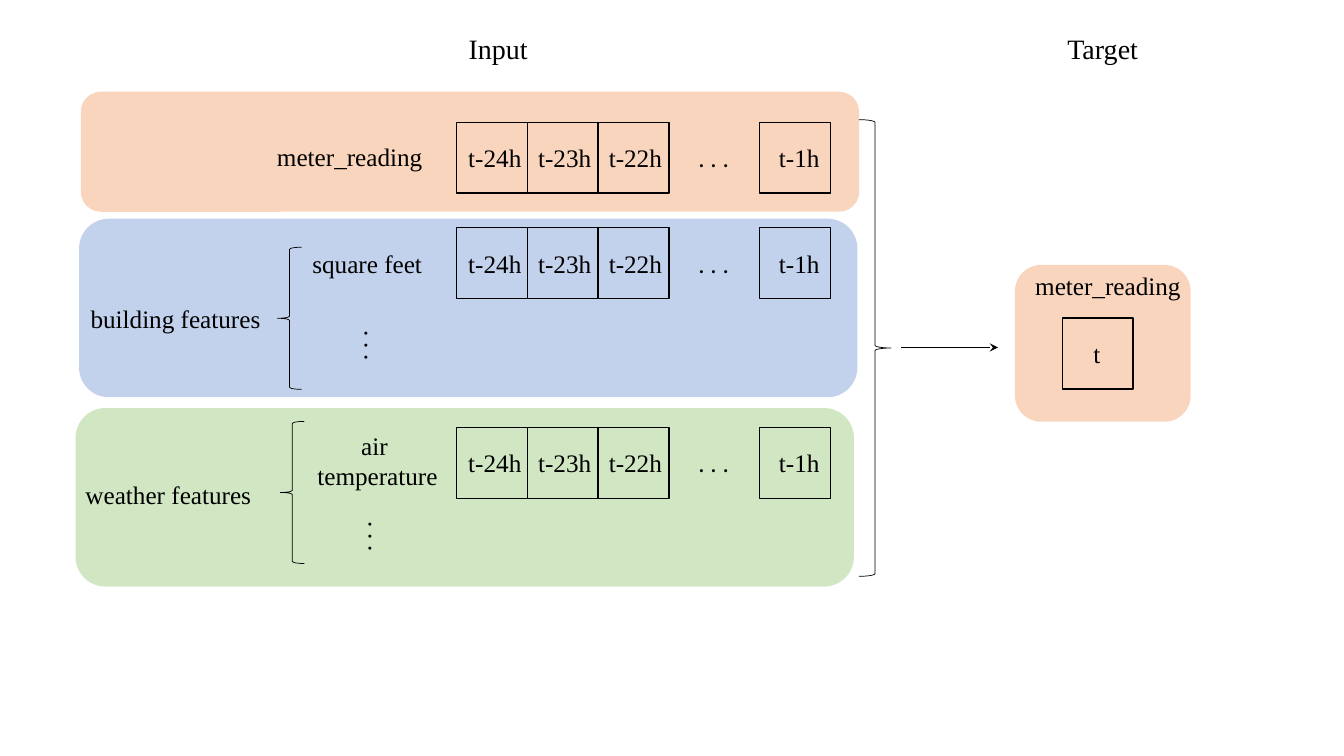
from pptx import Presentation
from pptx.dml.color import RGBColor
from pptx.enum.shapes import MSO_CONNECTOR as LINE, MSO_SHAPE as KIND
from pptx.enum.text import MSO_AUTO_SIZE as FIT, PP_ALIGN as ALIGN
from pptx.oxml.ns import qn
from pptx.util import Pt
from lxml.etree import SubElement

INK = "000000"
SERIF = "Times New Roman"
PEACH, BLUE, GREEN = "F4B183", "8FAADC", "A9D18E"

deck = Presentation()
deck.slide_width, deck.slide_height = Pt(960), Pt(540)
slide = deck.slides.add_slide(deck.slide_layouts[6])
shapes = slide.shapes


def draw(kind, box, fill=None, line=None):
    """Add a shape with a see-through fill or a black outline."""
    shape = shapes.add_shape(kind, *map(Pt, box))
    shape.shadow.inherit = False
    if fill:
        shape.fill.solid()
        shape.fill.fore_color.rgb = RGBColor.from_string(fill)
        tint = shape.fill._xPr.find(qn("a:solidFill"))[0]
        SubElement(tint, qn("a:alpha")).set("val", "53000")
    else:
        shape.fill.background()
    if line:
        shape.line.width = Pt(line)
        shape.line.color.rgb = RGBColor.from_string(INK)
    else:
        shape.line.fill.background()


def write(text, box, size=18, font=SERIF, align=ALIGN.LEFT, turn=0, wrap=False):
    """Add a text box in one font."""
    label = shapes.add_textbox(*map(Pt, box))
    label.rotation = turn
    frame = label.text_frame
    frame.text = text
    frame.word_wrap = wrap
    frame.auto_size = FIT.SHAPE_TO_FIT_TEXT
    for para in frame.paragraphs:
        para.alignment = align
        for run in para.runs:
            run.font.size = Pt(size)
            run.font.name = font
            run.font.color.rgb = RGBColor.from_string(INK)


# Panels
for box, fill in [
    ((54, 291.5, 556, 127.5), GREEN),
    ((56.5, 156.25, 556, 127.5), BLUE),
    ((725, 189.25, 125.5, 112), PEACH),
    ((57.75, 65.5, 556, 85.75), PEACH),
]:
    draw(KIND.ROUNDED_RECTANGLE, box, fill)

# Time steps: the same row of cells in each input panel
side = 50.6
left = 326.1
steps = [
    ("t-24h", left, 1.3, 52.6),
    ("t-23h", left + side, 0.6, 52.6),
    ("t-22h", left + 2 * side, 0.5, 52.6),
    ("t-1h", 542.5, 6.8, 43.9),
]
for top in (87.3, 162.7, 305.3):
    for step, x, pad, width in steps:
        draw(KIND.RECTANGLE, (x, top, side, side), line=1)
        write(step, (x + pad, top + 10.8, width, 29))
    write(". . .", (491.8, top + 10.8, 36.7, 29), font="Calibri")

# Feature names
write("meter_reading", (190.8, 97.3, 124.6, 29))
write("square feet", (216, 173.5, 93.6, 29))
write("air \ntemperature", (218.9, 303.8, 101.5, 51), align=ALIGN.CENTER)
write("building features", (57.6, 213.1, 144, 29), wrap=True)
write("weather features", (54, 339.1, 144, 29), wrap=True)
for x, y in ((249.1, 232.6), (252, 369.4)):
    write(". . .", (x, y, 36.7, 29), font="Calibri", turn=90)

# Braces
for x, y in ((198.2, 176.6), (200.2, 301)):
    draw(KIND.LEFT_BRACE, (x, y, 17.3, 101.5), line=0.5)
draw(KIND.RIGHT_BRACE, (613.5, 85.5, 23, 326.2), line=0.5)

# Arrow to the target
arrow = shapes.add_connector(LINE.STRAIGHT, Pt(643.7), Pt(248.2), Pt(712.8), Pt(248.2))
arrow.line.width = Pt(1)
arrow.line.color.rgb = RGBColor.from_string(INK)
SubElement(arrow.line._get_or_add_ln(), qn("a:tailEnd")).set("type", "stealth")
SubElement(arrow._element.spPr, qn("a:effectLst"))

# Target
draw(KIND.RECTANGLE, (758.8, 227.2, side, side), line=1)
write("t", (774, 237.9, 19.4, 29))
write("meter_reading", (732.4, 189.5, 124.6, 29))

# Headings
write("Input", (327.6, 18.7, 56.9, 31.5), size=20)
write("Target", (755.3, 18.7, 65.5, 31.5), size=20)

deck.save("out.pptx")
